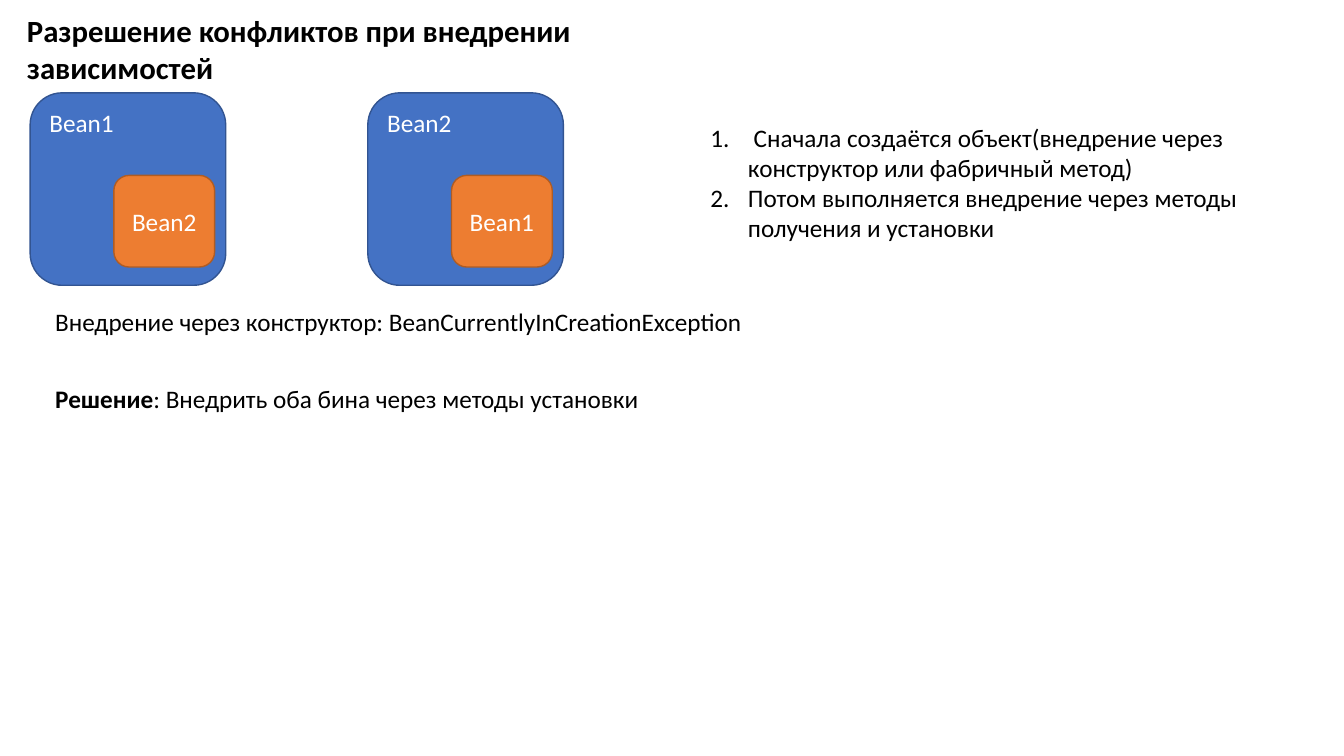
from dataclasses import dataclass

from lxml.etree import SubElement
from pptx import Presentation
from pptx.dml.color import RGBColor
from pptx.enum.shapes import MSO_SHAPE
from pptx.enum.text import MSO_ANCHOR, PP_ALIGN
from pptx.oxml.ns import qn
from pptx.util import Cm, Pt


@dataclass(frozen=True)
class Theme:
    font: str = "Calibri"
    title_size: int = 22
    body_size: int = 18
    ink: str = "000000"
    light: str = "FFFFFF"
    outer_fill: str = "4472C4"
    outer_line: str = "325491"
    inner_fill: str = "ED7D31"
    inner_line: str = "AF5C24"


theme = Theme()


def add_span(para, text, size=theme.body_size, color=theme.ink, bold=False):
    span = para.add_run()
    span.text = text
    span.font.name = theme.font
    span.font.size = Pt(size)
    span.font.bold = bold
    span.font.color.rgb = RGBColor.from_string(color)


def add_box(page, left, top, width, height, fill=None, line=None,
            anchor=MSO_ANCHOR.TOP, align=PP_ALIGN.LEFT):
    """Add a text box, or a rounded box when a fill is given; return its text frame."""
    place = Cm(left), Cm(top), Cm(width), Cm(height)
    if fill:
        box = page.shapes.add_shape(MSO_SHAPE.ROUNDED_RECTANGLE, *place)
        box.shadow.inherit = False
        box.fill.solid()
        box.fill.fore_color.rgb = RGBColor.from_string(fill)
        box.line.color.rgb = RGBColor.from_string(line)
        box.line.width = Pt(1)
    else:
        box = page.shapes.add_textbox(*place)
    frame = box.text_frame
    frame.word_wrap = True
    frame.vertical_anchor = anchor
    frame.paragraphs[0].alignment = align
    return frame


deck = Presentation()
deck.slide_width, deck.slide_height = Cm(33.87), Cm(19.05)
page = deck.slides.add_slide(deck.slide_layouts[6])

# Title
title = add_box(page, 0.43, 0.18, 18.64, 1.19)
add_span(title.paragraphs[0], "Разрешение конфликтов при внедрении зависимостей",
         size=theme.title_size, bold=True)

# Two beans, each holding the other
for column, (owner, dependency) in enumerate([("Bean1", "Bean2"), ("Bean2", "Bean1")]):
    left, top = 0.76 + column * 8.51, 2.34
    outer = add_box(page, left, top, 4.93, 4.85, theme.outer_fill, theme.outer_line)
    add_span(outer.paragraphs[0], owner, color=theme.light)
    inner = add_box(page, left + 2.11, top + 2.08, 2.54, 2.31, theme.inner_fill,
                    theme.inner_line, MSO_ANCHOR.MIDDLE, PP_ALIGN.CENTER)
    add_span(inner.paragraphs[0], dependency, color=theme.light)

# Numbered steps of creation
steps = add_box(page, 17.65, 2.95, 14.58, 3.33)
steps.add_paragraph()
step_texts = [
    " Сначала создаётся объект(внедрение через конструктор или фабричный метод)",
    "Потом выполняется внедрение через методы получения и установки",
]
for para, text in zip(steps.paragraphs, step_texts):
    add_span(para, text)
    properties = para._p.get_or_add_pPr()
    properties.set("marL", str(Cm(0.95)))
    properties.set("indent", str(-Cm(0.95)))
    SubElement(properties, qn("a:buFont"), typeface="+mj-lt")
    SubElement(properties, qn("a:buAutoNum"), type="arabicPeriod")

# Problem and solution
problem = add_box(page, 1.14, 7.59, 17.93, 1.02)
add_span(problem.paragraphs[0], "Внедрение через конструктор: BeanCurrentlyInCreationException")
solution = add_box(page, 1.14, 9.53, 17.93, 1.02)
add_span(solution.paragraphs[0], "Решение", bold=True)
add_span(solution.paragraphs[0], ": Внедрить оба бина через методы установки")

deck.save("out.pptx")
